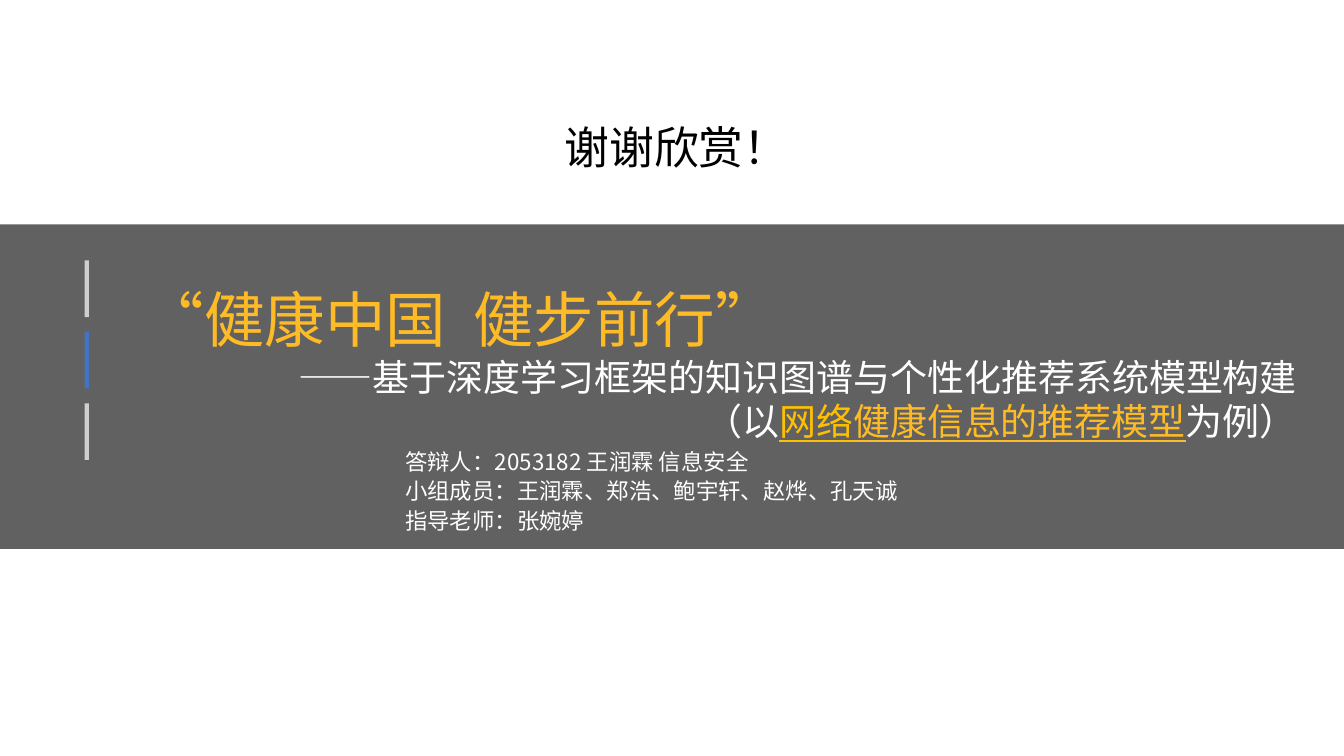
import pptx
import pptx.util
import pptx.dml.color
import pptx.enum.shapes
import pptx.enum.text
import pptx.oxml.ns
from lxml import etree

Cm = pptx.util.Cm
Pt = pptx.util.Pt
RGB = pptx.dml.color.RGBColor.from_string
ANCHOR = pptx.enum.text.MSO_ANCHOR
ALIGN = pptx.enum.text.PP_ALIGN
COLORS = {"black": "000000", "white": "FFFFFF", "blue": "4472C4",
          "amber": "FFBB25", "gold": "FFC000"}


def add_bar(parent, left, top, width, height, color, opacity=100):
    bar = parent.shapes.add_shape(pptx.enum.shapes.MSO_SHAPE.RECTANGLE,
                                  Cm(left), Cm(top), Cm(width), Cm(height))
    bar.shadow.inherit = False
    bar.line.fill.background()
    bar.fill.solid()
    bar.fill.fore_color.rgb = RGB(COLORS[color])
    if opacity < 100:
        fill = bar.fill._xPr.find(pptx.oxml.ns.qn("a:solidFill"))
        etree.SubElement(fill[0], pptx.oxml.ns.qn("a:alpha"), val=str(opacity * 1000))


def format_span(span, size, font, color):
    span.font.size = Pt(size)
    span.font.name = font
    span.font.color.rgb = RGB(COLORS[color])
    # East Asian glyphs take their own typeface entry
    etree.SubElement(span.font._element, pptx.oxml.ns.qn("a:ea"), typeface=font)


deck = pptx.Presentation()
deck.slide_width, deck.slide_height = Cm(25.4), Cm(14.28)
page = deck.slides.add_slide(deck.slide_layouts[5])

# Dark band behind the title, with three marks on its left
add_bar(page, 0, 4.24, 25.4, 6.13, "black", 62)
marks = page.shapes.add_group_shape()
for row, (color, opacity) in enumerate([("white", 70), ("blue", 100), ("white", 70)]):
    add_bar(marks, 1.6, 4.92 + row * 1.35, 0.08, 1.07, color, opacity)

# Title and subtitle lines, brought in front of the band
title = page.shapes.title
marks._element.addnext(title._element)
title.left, title.top, title.width, title.height = Cm(2.46), Cm(5.19), Cm(22.3), Cm(3.81)
frame = title.text_frame
frame.auto_size = pptx.enum.text.MSO_AUTO_SIZE.NONE
frame.vertical_anchor = ANCHOR.TOP
title_lines = [
    (ALIGN.LEFT, 32.4, [("“健康中国  健步前行”", "amber", False)]),
    (ALIGN.RIGHT, 19.8, [("——基于深度学习框架的知识图谱与个性化推荐系统模型构建", "white", False)]),
    (ALIGN.RIGHT, 19.8, [("（以", "white", False), ("网络", "gold", True),
                         ("健康信息的推荐模型", "amber", True), ("为例）", "white", False)]),
]
for index, (align, size, spans) in enumerate(title_lines):
    para = frame.paragraphs[0] if index == 0 else frame.add_paragraph()
    para.alignment = align
    for text, color, underlined in spans:
        span = para.add_run()
        span.text = text
        format_span(span, size, "Noto Sans CJK JP", color)
        span.font.underline = underlined

# Credits and closing words
notes = [
    (7.48, 8.35, 10.11, 12, "white",
     "答辩人：2053182 王润霖 信息安全\n小组成员：王润霖、郑浩、鲍宇轩、赵烨、孔天诚\n指导老师：张婉婷"),
    (10.49, 1.82, 4.09, 24, "black", "谢谢欣赏！"),
]
for left, top, width, size, color, text in notes:
    box = page.shapes.add_textbox(Cm(left), Cm(top), Cm(width), Cm(1.8))
    frame = box.text_frame
    frame.word_wrap = True
    frame.vertical_anchor = ANCHOR.MIDDLE
    frame.margin_left = frame.margin_right = Cm(0.18)
    frame.margin_top = frame.margin_bottom = Cm(0.1)
    frame.text = text
    for para in frame.paragraphs:
        para.line_spacing = 1.1
        format_span(para.runs[0], size, "Noto Sans CJK SC", color)

deck.save("out.pptx")
